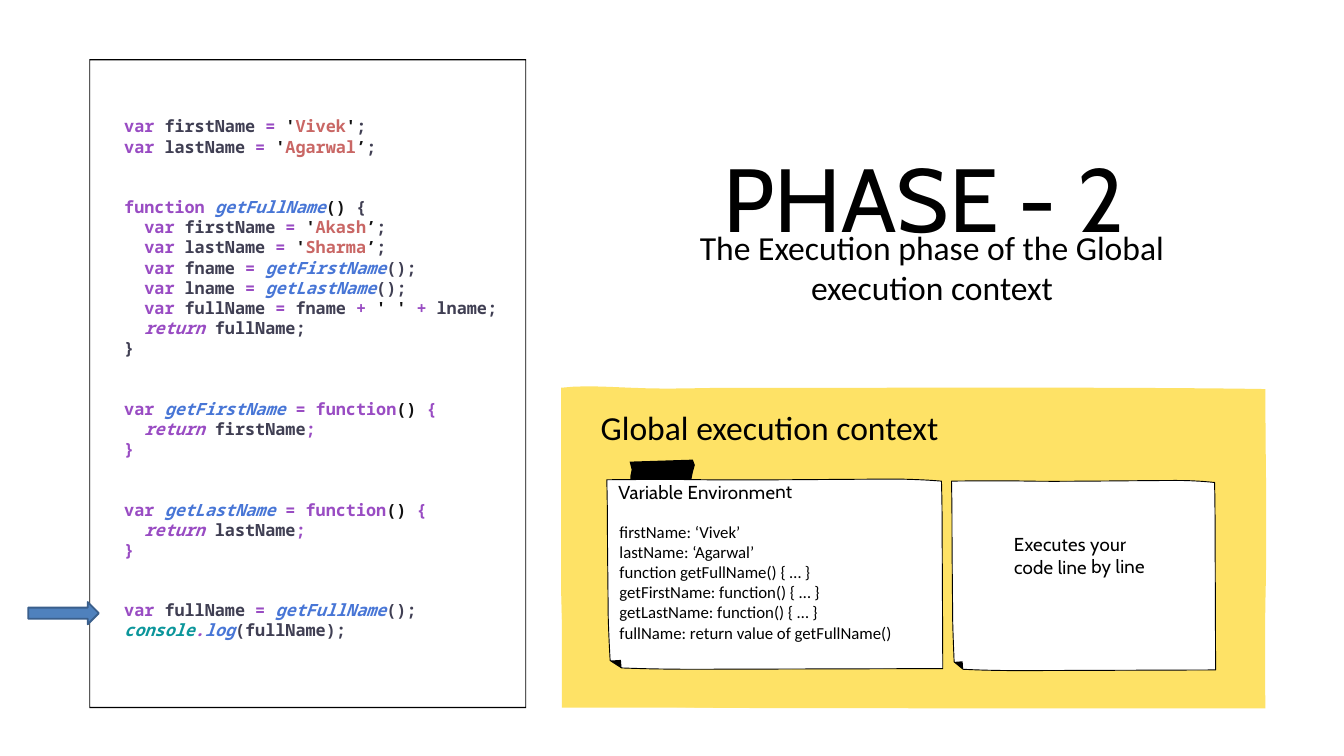
"""Build the slide on the execution phase of the global execution context."""
import pptx
import pptx.dml.color
import pptx.enum.shapes
import pptx.enum.text
import pptx.util

PX = 9144
SLIDE = (2000, 1125)
STEPS = 8
COLORS = {
    "black": "000000", "white": "FFFFFF", "yellow": "FEE266",
    "arrow": "4F81BD", "arrow_edge": "3A5F8C",
    "keyword": "994CC3", "name": "403F53", "quote": "111111",
    "string": "C96765", "call": "4876D6", "return": "994CC3", "object": "0C969B",
}
ITALIC = ("call", "return", "object")


def assign(target, value, quotes="''"):
    """Return the runs of a line that gives a string to a variable."""
    return [("keyword", target[0]), ("name", target[1]), ("keyword", "= "), ("quote", quotes[0]),
            ("string", value), ("quote", quotes[1]), ("name", ";")]


def assign_call(target, called):
    """Return the runs of a line that gives a call's result to a variable."""
    return [("keyword", target[0]), ("name", target[1]), ("keyword", "= "),
            ("call", called), ("name", "();")]


def getter(name, result):
    """Return the lines of a function that hands back one variable."""
    return [
        [("keyword", "var "), ("call", name + " "), ("keyword", "= function"),
         ("quote", "() "), ("keyword", "{")],
        [("return", "  return "), ("name", result), ("keyword", ";")],
        [("keyword", "}")],
    ]


CODE = [
    [assign(("var ", "firstName "), "Vivek"),
     assign(("var ", "lastName "), "Agarwal", "'’")],
    [[("keyword", "function "), ("call", "getFullName"), ("quote", "()"), ("name", " {")],
     assign(("  var ", "firstName "), "Akash", "'’"),
     assign(("  var ", "lastName "), "Sharma", "'’"),
     assign_call(("  var ", "fname "), "getFirstName"),
     assign_call(("  var ", "lname "), "getLastName"),
     [("keyword", "  var "), ("name", "fullName "), ("keyword", "= "), ("name", "fname "),
      ("keyword", "+ "), ("quote", "' ' "), ("keyword", "+ "), ("name", "lname;")],
     [("return", "  return"), ("name", " fullName;")],
     [("name", "}")]],
    getter("getFirstName", "firstName"),
    getter("getLastName", "lastName"),
    [assign_call(("var ", "fullName "), "getFullName"),
     [("object", "console"), ("return", "."), ("call", "log"), ("name", "(fullName);")]],
]
VARIABLES = [
    "firstName: ‘Vivek’",
    "lastName: ‘Agarwal’",
    "function getFullName() { … }",
    "getFirstName: function() { … }",
    "getLastName: function() { … }",
    "fullName: return value of getFullName()",
]

CODE_FONT = {"name": "Noto Sans Mono", "size": pptx.util.Pt(18), "bold": True}
LIST_FONT = {"name": "Calibri", "size": pptx.util.Pt(18)}
HEADING_FONT = {"name": "Calibri", "size": pptx.util.Pt(36)}
NOTE_FONT = {"name": "Cabin", "size": pptx.util.Pt(20)}
TITLE_FONT = {"name": "Cabin", "size": pptx.util.Pt(96)}
CODE_PITCH = 21.6
CENTER = {"alignment": pptx.enum.text.PP_ALIGN.CENTER}
TITLE_FORMAT = {**CENTER, "line_spacing": pptx.util.Pt(121)}
NO_MARGINS = dict.fromkeys(("margin_left", "margin_top", "margin_right", "margin_bottom"), 0)
TILT = -0.2

CODE_FRAME = [
    [(133, 88), (133, 1054), (783, 1054), (783, 88)],
    [(782, 1052), (134, 1052), (134, 90), (782, 90)],
]
PANEL_CORNER = [(836, 839), (836, 1053), (1825, 1053)]
PANEL = [
    (835, 577), (835, 708), (835, 772, 835, 842, 835, 880),
    (836, 993, 855, 1038, 855, 1038), (855, 1038, 952, 1052, 1039, 1053),
    (1116, 1054, 1291, 1054, 1716, 1054), (1801, 1054, 1883, 1054, 1883, 1054),
    (1883, 1054, 1882, 959, 1883, 898), (1885, 823, 1884, 767, 1884, 715),
    (1883, 635, 1883, 579, 1883, 579), (1883, 579, 1753, 576, 1320, 577),
    (1247, 578, 1100, 576, 1021, 578), (935, 580, 885, 571, 835, 577),
]
TAPE = [(1031, 684), (1034, 692), (1031, 703), (1029, 713), (938, 714),
        (938, 709), (940, 699), (937, 687)]
NOTE_WIDTH = 500
NOTE = [
    (0, 1), (0, 1, 1, 33, 1, 73), (1, 112, 2, 169, 2, 194), (2, 213, 4, 252, 5, 270),
    (22, 281), (44, 282, 86, 283, 126, 283), (500, 282), (499, 66),
    (499, 30, 498, 3, 498, 3), (473, 1, 449, 0, 424, 0),
    (381, 0, 185, 2, 146, 1), (93, 0, 0, 1, 0, 1),
]
FOLD = [(22, 281), (21, 269), (5, 270)]
NOTES = [(903, 713, 500), (1416, 715, 393)]


def color(name):
    return pptx.dml.color.RGBColor.from_string(COLORS[name])


def flatten(segments):
    """Turn lines and cubic curves into a list of points."""
    points = [segments[0]]
    for segment in segments[1:]:
        if len(segment) == 2:
            points.append(segment)
            continue
        corners = [points[-1], segment[:2], segment[2:4], segment[4:]]
        for step in range(1, STEPS + 1):
            t = step / STEPS
            weights = ((1 - t) ** 3, 3 * t * (1 - t) ** 2, 3 * t * t * (1 - t), t ** 3)
            points.append(tuple(sum(w * c[axis] for w, c in zip(weights, corners))
                                for axis in (0, 1)))
    return points


def paint(shape, fill, edge=None, weight=1):
    shape.shadow.inherit = False
    shape.fill.solid()
    shape.fill.fore_color.rgb = color(fill)
    if edge:
        shape.line.color.rgb = color(edge)
        shape.line.width = pptx.util.Pt(weight)
    else:
        shape.line.fill.background()


def add_outline(slide, contours, fill, edge=None):
    scaled = [[(x * PX, y * PX) for x, y in flatten(contour)] for contour in contours]
    builder = slide.shapes.build_freeform(*scaled[0][0], scale=1.0)
    builder.add_line_segments(scaled[0][1:], close=True)
    for contour in scaled[1:]:
        builder.move_to(*contour[0])
        builder.add_line_segments(contour[1:], close=True)
    paint(builder.convert_to_shape(), fill, edge)


def add_text(slide, place, lines, font, layout=None, frame=None, tilt=0, spacing=None):
    """Add a text box whose lines are lists of (style, text) runs."""
    box = slide.shapes.add_textbox(*(v * PX for v in place))
    box.rotation = tilt
    settings = {"word_wrap": True, "auto_size": pptx.enum.text.MSO_AUTO_SIZE.SHAPE_TO_FIT_TEXT}
    for key, value in {**settings, **(frame or {})}.items():
        setattr(box.text_frame, key, value)
    for index, line in enumerate(lines):
        paragraph = box.text_frame.add_paragraph() if index else box.text_frame.paragraphs[0]
        for key, value in (layout or {}).items():
            setattr(paragraph, key, value)
        for style, text in line:
            run = paragraph.add_run()
            run.text = text
            for key, value in {**font, "italic": style in ITALIC}.items():
                setattr(run.font, key, value)
            run.font.color.rgb = color(style)
            if spacing:
                run.font._element.set("spc", str(spacing))
    return box


def plain(*lines):
    return [[("black", line)] for line in lines]


def main():
    deck = pptx.Presentation()
    deck.slide_width, deck.slide_height = (v * PX for v in SLIDE)
    slide = deck.slides.add_slide(deck.slide_layouts[6])

    add_outline(slide, CODE_FRAME, "black")
    add_outline(slide, [PANEL_CORNER], "yellow")
    add_outline(slide, [PANEL], "yellow")
    add_text(slide, (884, 600, 608, 71), plain("Global execution context"), HEADING_FONT)
    arrow = slide.shapes.add_shape(pptx.enum.shapes.MSO_SHAPE.RIGHT_ARROW,
                                   *(v * PX for v in (42, 896, 105, 33)))
    paint(arrow, "arrow", "arrow_edge", 2)

    code = add_text(slide, (175, 168, 576, 798), [line for block in CODE for line in block],
                    CODE_FONT, {"line_spacing": pptx.util.Pt(CODE_PITCH)})
    first = 0
    for block in CODE[:-1]:
        first += len(block)
        code.text_frame.paragraphs[first].space_before = pptx.util.Pt(2 * CODE_PITCH)

    for left, top, width in NOTES:
        for part, edge, fill in ((NOTE, "black", "white"), (FOLD, None, "black")):
            placed = [(left + x * width / NOTE_WIDTH, top + y) for x, y in flatten(part)]
            add_outline(slide, [placed], fill, edge)
    add_outline(slide, [TAPE], "black")

    note_style = {"frame": NO_MARGINS, "tilt": TILT, "spacing": 20}
    add_text(slide, (920, 715, 344, 34), plain("Variable Environment"), NOTE_FONT, **note_style)
    add_text(slide, (1509, 793, 212, 101), plain("Executes your code line by line"),
             NOTE_FONT, **note_style)
    add_text(slide, (912, 771, 463, 222), plain(*VARIABLES), LIST_FONT)
    add_text(slide, (1044, 199, 661, 176), plain("PHASE - 2"), TITLE_FONT, TITLE_FORMAT,
             {"word_wrap": False})
    add_text(slide, (983, 333, 808, 131),
             plain("The Execution phase of the Global execution context"), HEADING_FONT, CENTER)
    deck.save("out.pptx")


if __name__ == "__main__":
    main()
